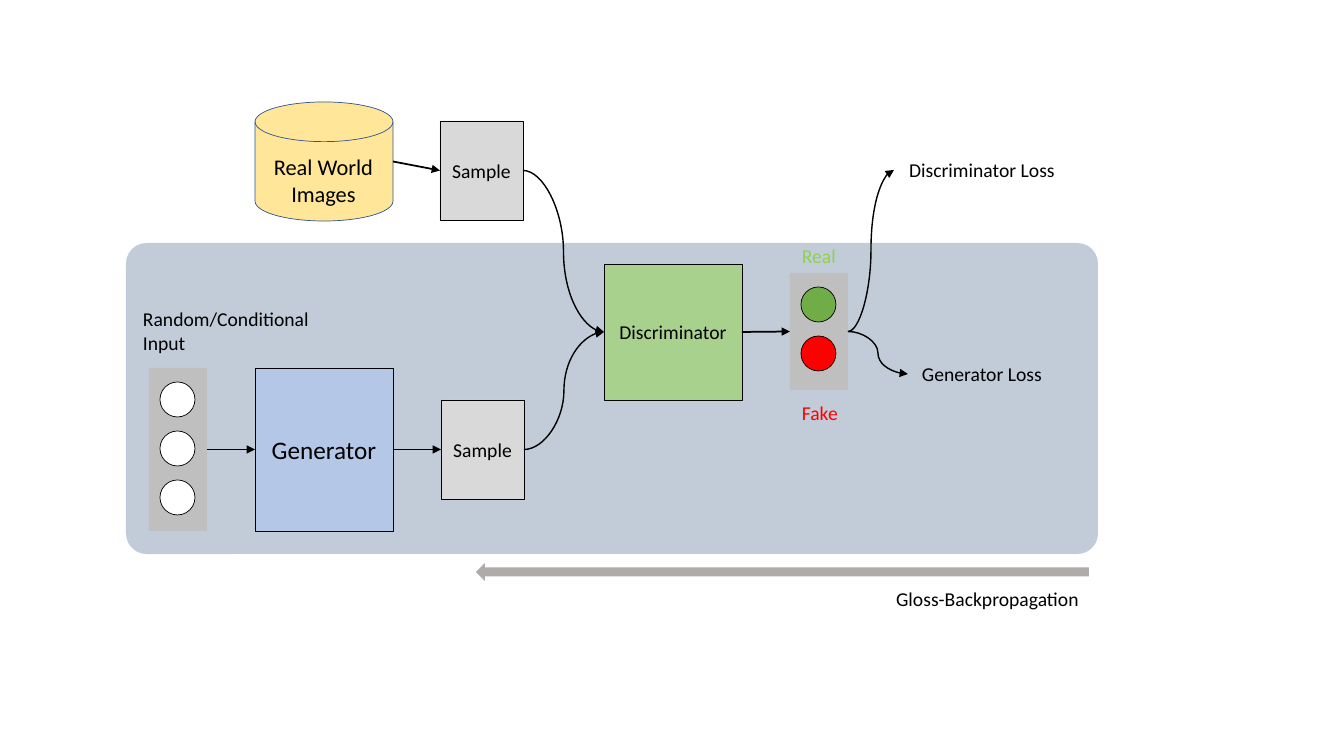
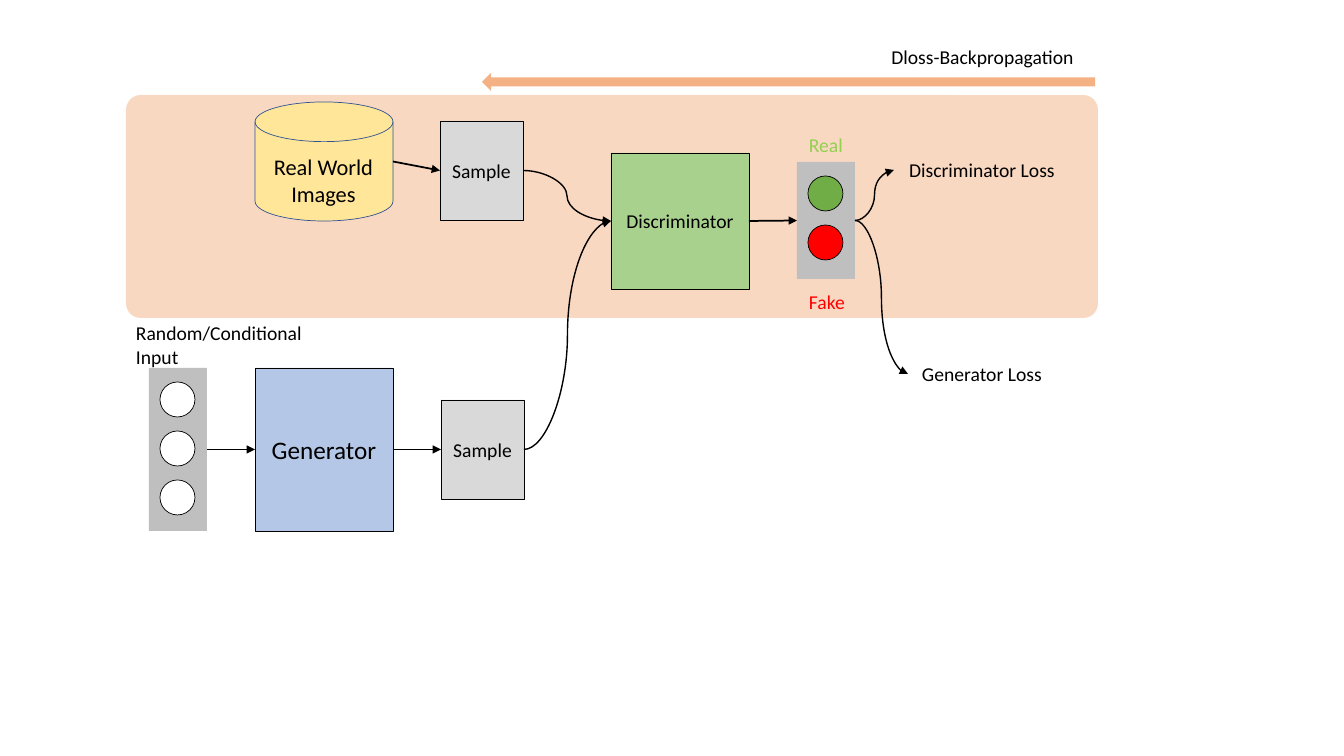
import pptx
import pptx.dml.color
import pptx.enum.shapes
import pptx.enum.text
import pptx.oxml
import pptx.oxml.ns
import pptx.util
import lxml.etree

SHAPES = pptx.enum.shapes.MSO_SHAPE
CONNECTORS = pptx.enum.shapes.MSO_CONNECTOR
ALIGN = pptx.enum.text.PP_ALIGN
ANCHOR = pptx.enum.text.MSO_ANCHOR
AUTO_SIZE = pptx.enum.text.MSO_AUTO_SIZE

FONT = "Calibri"
BLACK, WHITE = "000000", "FFFFFF"
PANEL, SAMPLE = "BFBFBF", "D9D9D9"
GENERATOR, DISCRIMINATOR = "B4C7E7", "A9D18E"
DATABASE, DATABASE_LINE = "FFE699", "325491"
REAL_LAMP, REAL_TEXT, FAKE = "70AD47", "92D050", "FF0000"
LABEL_HEIGHT = 34
LAMP_SIZE, LAMP_PITCH = 35, 49
LEFT_SITE, RIGHT_SITE = 1, 3


def px(length):
    """Turn pixels (100.8 to the inch) into EMU."""
    return pptx.util.Emu(round(length * 914400 / 100.8))


def color(value):
    """Turn a hex string into a colour."""
    return pptx.dml.color.RGBColor.from_string(value)


def write_text(shape, text, size=14, ink=BLACK, align=ALIGN.CENTER, anchor=ANCHOR.MIDDLE):
    """Write one paragraph per line of text, unwrapped, in one format."""
    frame = shape.text_frame
    frame.word_wrap = False
    frame.vertical_anchor = anchor
    frame.text = text
    for paragraph in frame.paragraphs:
        paragraph.alignment = align
        for run in paragraph.runs:
            run.font.name = FONT
            run.font.size = pptx.util.Pt(size)
            run.font.color.rgb = color(ink)


def add_shape(slide, kind, box, fill, line=None, text=None, size=14):
    """Add a flat preset shape, with an optional thin outline and text."""
    shape = slide.shapes.add_shape(kind, *map(px, box))
    shape.shadow.inherit = False
    shape.fill.solid()
    shape.fill.fore_color.rgb = color(fill)
    if line:
        shape.line.color.rgb = color(line)
        shape.line.width = pptx.util.Pt(0.5)
    else:
        shape.line.fill.background()
    if text:
        write_text(shape, text, size=size)
    return shape


def add_label(slide, box, text, **text_format):
    """Add a text box that grows with its text."""
    label = slide.shapes.add_textbox(*map(px, box))
    write_text(label, text, anchor=ANCHOR.TOP, **text_format)
    label.text_frame.auto_size = AUTO_SIZE.SHAPE_TO_FIT_TEXT
    return label


def add_arrow(slide, start, end, curved=False, glue_start=True):
    """Join the right side of one shape to the left side of another."""
    connector = slide.shapes.add_connector(
        CONNECTORS.CURVE if curved else CONNECTORS.STRAIGHT,
        start.left + start.width, start.top + start.height // 2,
        end.left, end.top + end.height // 2)
    if glue_start:
        connector.begin_connect(start, RIGHT_SITE)
    connector.end_connect(end, LEFT_SITE)
    connector.line.color.rgb = color(BLACK)
    connector.line.width = pptx.util.Pt(1 if curved else 1.25)
    tail = lxml.etree.SubElement(connector.line._get_or_add_ln(), pptx.oxml.ns.qn("a:tailEnd"))
    tail.set("type", "triangle")
    lxml.etree.SubElement(connector._element.spPr, pptx.oxml.ns.qn("a:effectLst"))


def add_band(slide, box, fill):
    """Add the translucent rounded band behind the trained network."""
    band = add_shape(slide, SHAPES.ROUNDED_RECTANGLE, box, fill)
    band.adjustments[0] = 0.066
    tint = band._element.spPr.find(".//" + pptx.oxml.ns.qn("a:srgbClr"))
    lxml.etree.SubElement(tint, pptx.oxml.ns.qn("a:alpha")).set("val", "49000")


def add_lamp_panel(slide, box, lamps):
    """Add a grey panel holding a column of round lamps."""
    left, top = box[:2]
    panel = add_shape(slide, SHAPES.RECTANGLE, box, PANEL)
    for index, fill in enumerate(lamps):
        lamp_box = (left + 11, top + 14 + index * LAMP_PITCH, LAMP_SIZE, LAMP_SIZE)
        add_shape(slide, SHAPES.OVAL, lamp_box, fill, line=BLACK)
    return panel


def add_sample(slide, left, top):
    """Add a sample box."""
    return add_shape(slide, SHAPES.RECTANGLE, (left, top, 83, 99), SAMPLE, line=BLACK, text="Sample")


def add_real_branch(slide, left, top):
    """Add the image database and its sample; return the sample."""
    database = add_shape(slide, SHAPES.FLOWCHART_MAGNETIC_DISK, (left, top, 138, 119),
                         DATABASE, line=DATABASE_LINE)
    add_label(slide, (left + 6, top + 46, 125, 65), "Real World\nImages", size=16)
    sample = add_sample(slide, left + 185, top + 19)
    add_arrow(slide, database, sample, glue_start=False)
    return sample


def add_generator_branch(slide, left, top):
    """Add the input panel, generator and its sample; return the sample."""
    inputs = add_lamp_panel(slide, (left, top, 58, 163), [WHITE] * 3)
    generator = add_shape(slide, SHAPES.RECTANGLE, (left + 106, top, 138, 163),
                          GENERATOR, line=BLACK, text="Generator", size=18)
    sample = add_sample(slide, left + 292, top + 32)
    add_arrow(slide, inputs, generator)
    add_arrow(slide, generator, sample)
    return sample


def add_judgement(slide, left, top, samples):
    """Add the discriminator fed by samples; return its verdict panel."""
    discriminator = add_shape(slide, SHAPES.RECTANGLE, (left, top, 138, 136),
                              DISCRIMINATOR, line=BLACK, text="Discriminator")
    for sample in samples:
        add_arrow(slide, sample, discriminator, curved=True)
    verdict = add_lamp_panel(slide, (left + 186, top + 9, 58, 117), [REAL_LAMP, FAKE])
    add_arrow(slide, discriminator, verdict)
    add_label(slide, (left + 188, top - 25, 56, LABEL_HEIGHT), "Real", ink=REAL_TEXT, align=ALIGN.LEFT)
    add_label(slide, (left + 188, top + 132, 60, LABEL_HEIGHT), "Fake", ink=FAKE, align=ALIGN.LEFT)
    return verdict


def add_losses(slide, left, top, verdict):
    """Add the two loss labels and the curves that lead to them."""
    for box, text in [((left, top, 176, LABEL_HEIGHT), "Discriminator Loss"),
                      ((left + 14, top + 204, 148, LABEL_HEIGHT), "Generator Loss")]:
        add_arrow(slide, verdict, add_label(slide, box, text), curved=True)


def add_training_slide(presentation, band, band_fill, judgement, feedback,
                       feedback_fill, feedback_label, feedback_text, input_label):
    """Add a network diagram that highlights the part being trained."""
    slide = presentation.slides.add_slide(presentation.slide_layouts[6])
    add_band(slide, band, band_fill)
    samples = [add_real_branch(slide, 255, 102), add_generator_branch(slide, 149, 368)]
    verdict = add_judgement(slide, *judgement, samples)
    add_losses(slide, 894, 153, verdict)
    add_shape(slide, SHAPES.LEFT_ARROW, (*feedback, 613, 18), feedback_fill)
    add_label(slide, (*feedback_label, 221, LABEL_HEIGHT), feedback_text)
    add_label(slide, (*input_label, 193, 57), "Random/Conditional\nInput", align=ALIGN.LEFT)


def main():
    """Build and save the presentation."""
    presentation = pptx.Presentation()
    presentation.slide_width, presentation.slide_height = px(1344), px(756)
    add_training_slide(
        presentation, band=(126, 243, 972, 311), band_fill="8497B0", judgement=(604, 264),
        feedback=(476, 563), feedback_fill="AFABAB", feedback_label=(877, 582),
        feedback_text="Gloss-Backpropagation", input_label=(133, 302))
    add_training_slide(
        presentation, band=(126, 95, 972, 223), band_fill="F4B183", judgement=(611, 153),
        feedback=(482, 73), feedback_fill="F4B183", feedback_label=(872, 40),
        feedback_text="Dloss-Backpropagation", input_label=(126, 316))
    presentation.save("out.pptx")


main()
